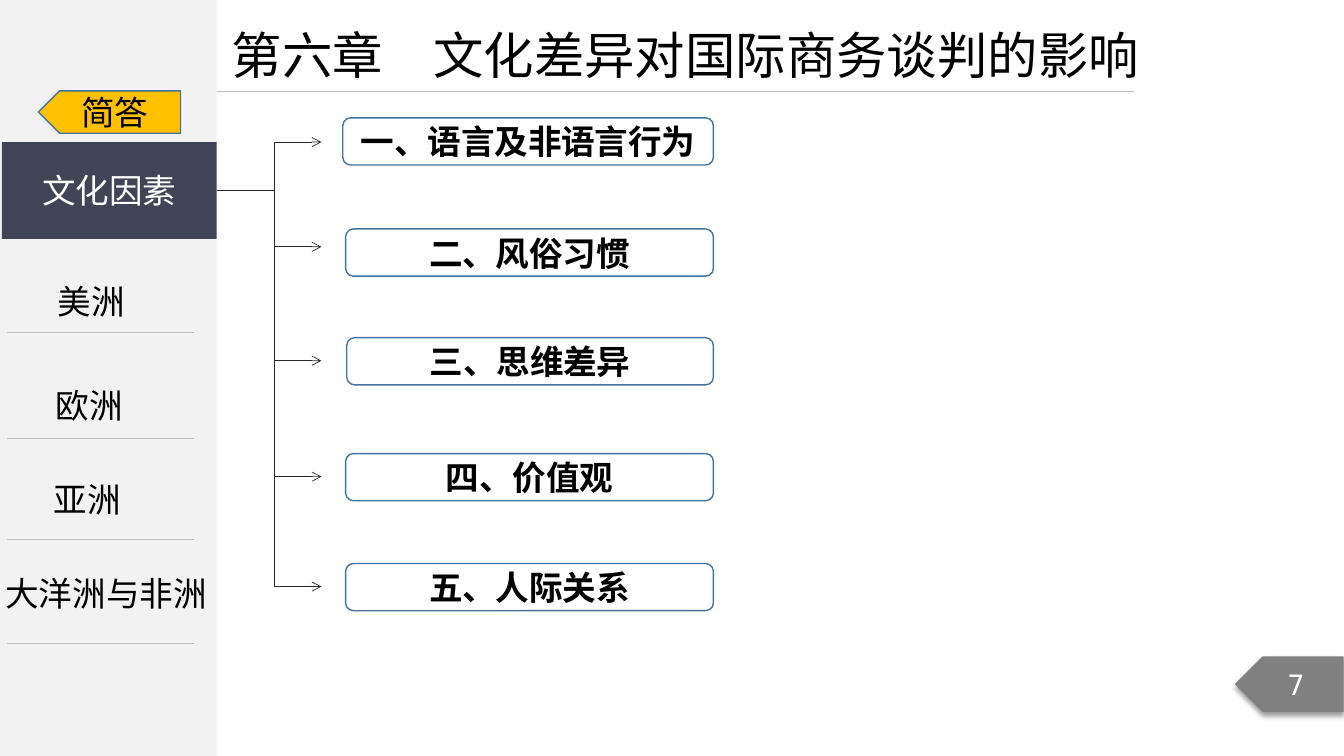
"""Builds the chapter six slide on cultural differences in business negotiation."""

from dataclasses import dataclass

from lxml import etree
from pptx import Presentation
from pptx.dml.color import RGBColor
from pptx.enum.shapes import MSO_CONNECTOR, MSO_SHAPE
from pptx.enum.text import MSO_ANCHOR, MSO_AUTO_SIZE, PP_ALIGN
from pptx.oxml.ns import qn
from pptx.shapes.autoshape import Shape
from pptx.shapes.connector import Connector
from pptx.slide import Slide
from pptx.util import Cm, Pt

RECTANGLE = MSO_SHAPE.RECTANGLE
ROUNDED = MSO_SHAPE.ROUNDED_RECTANGLE
PENTAGON = MSO_SHAPE.PENTAGON
STRAIGHT = MSO_CONNECTOR.STRAIGHT
MIDDLE = MSO_ANCHOR.MIDDLE
GROW = MSO_AUTO_SIZE.SHAPE_TO_FIT_TEXT
LEFT, CENTER = PP_ALIGN.LEFT, PP_ALIGN.CENTER
RIGHT_SIDE = 3


@dataclass(frozen=True)
class Theme:
    """Colours, fonts and type sizes of the slide."""

    sidebar: str = "F2F2F2"
    rule: str = "BFBFBF"
    branch: str = "262626"
    outline: str = "43739E"
    active: str = "414455"
    badge: str = "FFC000"
    page: str = "808080"
    dark: str = "000000"
    light: str = "FFFFFF"
    font: str = "Noto Sans CJK SC"
    page_font: str = "DejaVu Sans Mono"
    title_size: int = 36
    body_size: int = 24
    page_size: int = 20
    line_width: float = 0.5
    outline_width: float = 1


@dataclass(frozen=True)
class Box:
    """Position and size in centimetres."""

    left: float
    top: float
    width: float
    height: float

    def lengths(self) -> tuple[Cm, Cm, Cm, Cm]:
        """Return the four lengths in the order python-pptx takes them."""
        return Cm(self.left), Cm(self.top), Cm(self.width), Cm(self.height)


@dataclass(frozen=True)
class Region:
    """A sidebar entry with the rule below it."""

    name: str
    box: Box
    rule_y: float
    spacing: float = 1.0


@dataclass(frozen=True)
class Factor:
    """A cultural factor with the height of the arrow that leads to it."""

    name: str
    left: float
    top: float
    arrow_y: float


THEME = Theme()
SIDEBAR_RIGHT = 5.46
TRUNK_X, ARROW_END = 6.91, 8.1
FACTOR_RIGHT, FACTOR_HEIGHT = 17.98, 1.19
RULE_LEFT, RULE_RIGHT = 0.18, 4.88
TITLE_RULE_Y = 2.29
TITLE_TAB = 4.38

REGIONS = (
    Region("美洲", Box(-0.03, 6.96, 4.65, 1.27), 8.38),
    Region("欧洲", Box(-0.08, 9.07, 4.65, 1.63), 11.05, 1.5),
    Region("亚洲", Box(-0.13, 11.43, 4.65, 1.63), 13.59, 1.5),
    Region("大洋洲与非洲", Box(-0.13, 14.3, 5.61, 1.27), 16.21),
)
FACTORS = (
    Factor("一、语言及非语言行为", 8.64, 2.97, 3.58),
    Factor("二、风俗习惯", 8.71, 5.77, 6.22),
    Factor("三、思维差异", 8.74, 8.51, 9.09),
    Factor("四、价值观", 8.71, 11.43, 12.01),
    Factor("五、人际关系", 8.71, 14.2, 14.78),
)


def write(shape: Shape, text: str, color: str, size: int = THEME.body_size,
          font: str = THEME.font, align: PP_ALIGN = CENTER, bold: bool = False,
          spacing: float = 1.0, tracking: int = 0) -> None:
    """Put one formatted paragraph into a shape."""
    shape.text_frame.text = text
    shape.text_frame.word_wrap = True
    paragraph = shape.text_frame.paragraphs[0]
    paragraph.alignment = align
    paragraph.line_spacing = spacing
    for run in paragraph.runs:
        run.font.name = font
        run.font.size = Pt(size)
        run.font.bold = bold
        run.font.color.rgb = RGBColor.from_string(color)
        properties = run._r.get_or_add_rPr()
        etree.SubElement(properties, qn("a:ea"), typeface=font)
        if tracking:
            properties.set("spc", str(tracking))


def add_block(slide: Slide, kind: MSO_SHAPE, box: Box, fill: str = "",
              outline: str = "") -> Shape:
    """Add a preset shape with an optional fill and outline."""
    block = slide.shapes.add_shape(kind, *box.lengths())
    block.shadow.inherit = False
    block.text_frame.vertical_anchor = MIDDLE
    if fill:
        block.fill.solid()
        block.fill.fore_color.rgb = RGBColor.from_string(fill)
    else:
        block.fill.background()
    if outline:
        block.line.color.rgb = RGBColor.from_string(outline)
        block.line.width = Pt(THEME.outline_width)
    else:
        block.line.fill.background()
    return block


def add_left_tag(slide: Slide, box: Box, fill: str, outline: str = "") -> Shape:
    """Add a pentagon that points to the left."""
    tag = add_block(slide, PENTAGON, box, fill, outline)
    tag._element.spPr.find(qn("a:xfrm")).set("flipH", "1")
    return tag


def add_label(slide: Slide, box: Box) -> Shape:
    """Add a text box that grows with its text."""
    label = slide.shapes.add_textbox(*box.lengths())
    label.text_frame.auto_size = GROW
    return label


def add_line(slide: Slide, x1: float, y1: float, x2: float, y2: float,
             color: str, arrow: bool = False) -> Connector:
    """Add a thin straight line, with an arrowhead at its end if asked."""
    line = slide.shapes.add_connector(STRAIGHT, Cm(x1), Cm(y1), Cm(x2), Cm(y2))
    line.line.color.rgb = RGBColor.from_string(color)
    line.line.width = Pt(THEME.line_width)
    if arrow:
        etree.SubElement(line.line._get_or_add_ln(), qn("a:tailEnd"), type="arrow")
    etree.SubElement(line._element.spPr, qn("a:effectLst"))
    return line


def add_drop_shadow(shape: Shape) -> None:
    """Give a shape a soft shadow that falls straight down."""
    effects = shape._element.spPr.find(qn("a:effectLst"))
    shadow = etree.SubElement(effects, qn("a:outerShdw"), blurRad=str(Pt(4)),
                              dist=str(Pt(3)), dir="5400000", rotWithShape="0")
    color = etree.SubElement(shadow, qn("a:srgbClr"), val=THEME.dark)
    etree.SubElement(color, qn("a:alpha"), val="40000")


def add_title(slide: Slide) -> None:
    """Add the chapter title, its parts set apart by a tab stop."""
    title = add_label(slide, Box(5.59, 0.48, 24.56, 1.8))
    properties = title.text_frame.paragraphs[0]._p.get_or_add_pPr()
    tabs = etree.SubElement(properties, qn("a:tabLst"))
    etree.SubElement(tabs, qn("a:tab"), pos=str(Cm(TITLE_TAB)), algn="l")
    write(title, "第六章\t文化差异对国际商务谈判的影响", THEME.dark,
          THEME.title_size, align=LEFT)
    add_line(slide, SIDEBAR_RIGHT, TITLE_RULE_Y, 28.58, TITLE_RULE_Y, THEME.rule)


def main() -> None:
    """Build the slide and save it."""
    deck = Presentation()
    deck.slide_width, deck.slide_height = Cm(33.87), Cm(19.05)
    slide = deck.slides.add_slide(deck.slide_layouts[6])

    add_block(slide, RECTANGLE, Box(0, 0, SIDEBAR_RIGHT, 19.05), THEME.sidebar)
    add_title(slide)
    page = add_left_tag(slide, Box(31.12, 16.54, 2.74, 1.4), THEME.page)
    add_drop_shadow(page)
    write(page, "7", THEME.light, THEME.page_size, THEME.page_font)

    for region in REGIONS:
        write(add_label(slide, region.box), region.name, THEME.dark,
              spacing=region.spacing)
        add_line(slide, RULE_LEFT, region.rule_y, RULE_RIGHT, region.rule_y, THEME.rule)

    topic = add_block(slide, RECTANGLE, Box(0.05, 3.58, 5.41, 2.44), THEME.active)
    write(topic, "文化因素", THEME.light)
    stem = add_line(slide, SIDEBAR_RIGHT, 4.8, TRUNK_X, 4.8, THEME.branch)
    stem.begin_connect(topic, RIGHT_SIDE)
    add_line(slide, TRUNK_X, FACTORS[0].arrow_y, TRUNK_X, FACTORS[-1].arrow_y,
             THEME.branch)
    for factor in FACTORS:
        add_line(slide, TRUNK_X, factor.arrow_y, ARROW_END, factor.arrow_y,
                 THEME.branch, arrow=True)
        box = Box(factor.left, factor.top, FACTOR_RIGHT - factor.left, FACTOR_HEIGHT)
        write(add_block(slide, ROUNDED, box, outline=THEME.outline), factor.name,
              THEME.dark, bold=True, tracking=-10)

    badge = add_left_tag(slide, Box(0.97, 2.29, 3.58, 1.07), THEME.badge, THEME.outline)
    write(badge, "简答", THEME.dark)
    deck.save("out.pptx")


if __name__ == "__main__":
    main()
